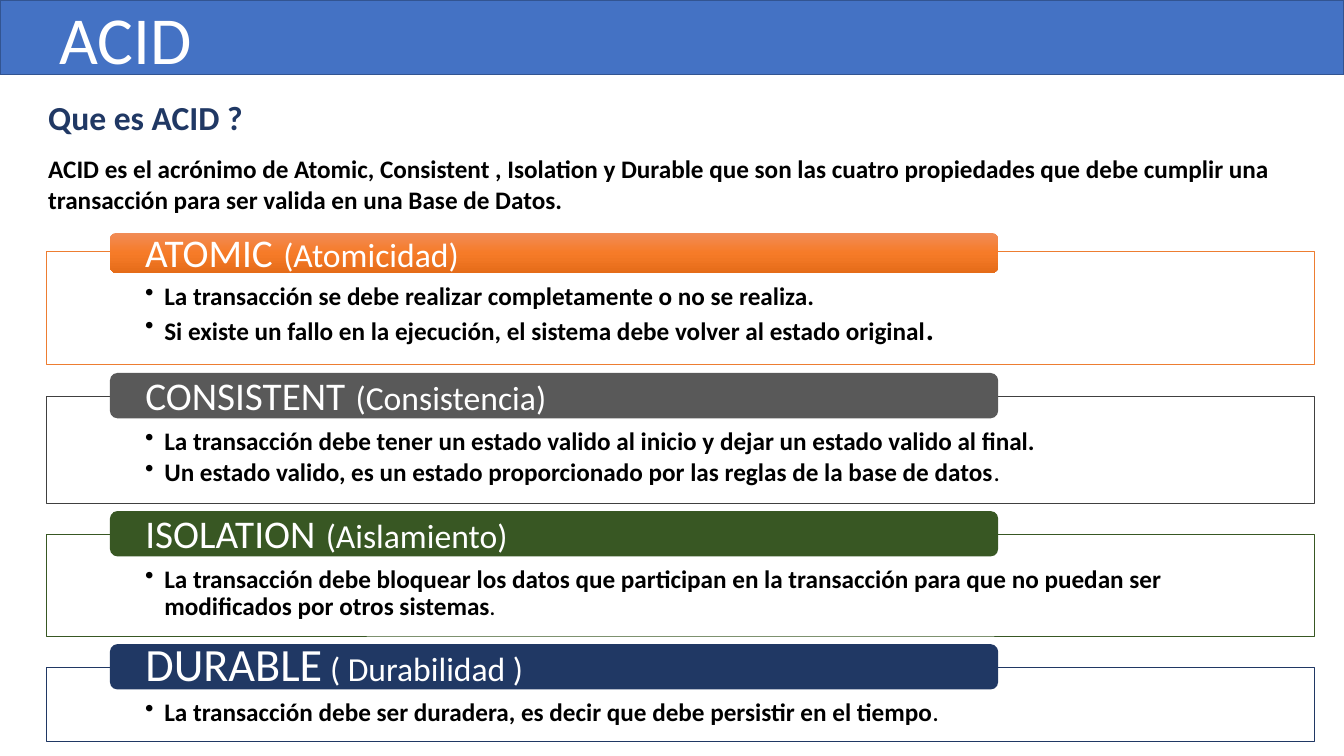
from lxml.etree import SubElement
from pptx import Presentation
from pptx.dml.color import RGBColor
from pptx.enum.shapes import MSO_SHAPE
from pptx.enum.text import MSO_ANCHOR, PP_ALIGN
from pptx.oxml.ns import qn
from pptx.util import Inches, Pt

# Content: runs are (text, size name, bold)
TITLE = "ACID"
QUESTION = "Que es ACID ?"
DEFINITION = (
    "ACID es el acrónimo de Atomic, Consistent , Isolation y Durable que son las cuatro "
    "propiedades que debe cumplir una transacción para ser valida en una Base de Datos."
)
PROPERTIES = [
    {
        "color": "atomic", "bar_height": 0.4, "panel_height": 1.13,
        "heading": [("ATOMIC", "name", False), (" ", "large", False),
                    ("(Atomicidad)", "translation", False)],
        "bullets": [
            [("La transacción se debe realizar completamente o no se realiza.", "body", True)],
            [("Si existe un fallo en la ejecución, el sistema debe volver al estado original",
              "body", True), (".", "big_stop", True)],
        ],
    },
    {
        "color": "consistent", "bar_height": 0.45, "panel_height": 1.06,
        "heading": [("CONSISTENT", "name", False), (" ", "large", False),
                    ("(Consistencia)", "translation", False)],
        "bullets": [
            [("La transacción debe tener un estado valido al inicio y dejar un estado valido "
              "al final.", "body", True)],
            [("Un estado valido, es un estado proporcionado por las reglas de la base de datos",
              "body", True), (".", "body", False)],
        ],
    },
    {
        "color": "isolation", "bar_height": 0.45, "panel_height": 1.01,
        "heading": [("ISOLATION", "name", False), (" ", "large", False),
                    ("(Aislamiento)", "translation", False)],
        "bullets": [
            [("La transacción debe bloquear los datos que participan en la transacción para "
              "que no puedan ser modificados por otros sistemas", "body", True),
             (".", "small_stop", True)],
        ],
    },
    {
        "color": "durable", "bar_height": 0.45, "panel_height": 0.74,
        "heading": [("DURABLE", "large", False), (" ( Durabilidad )", "translation", False)],
        "bullets": [
            [("La transacción debe ser duradera, es decir que debe persistir en el tiempo",
              "body", True), (".", "medium_stop", True)],
        ],
    },
]

THEME = {
    "font": "Calibri",
    "colors": {
        "white": "FFFFFF", "black": "000000", "banner": "4472C4", "banner_line": "325491",
        "atomic": "ED7D31", "consistent": "595959", "consistent_line": "404040",
        "isolation": "385723", "durable": "203864",
    },
    "atomic_gradient": ["F18C57", "F67B28", "E56C19"],
    "sizes": {
        "title": 48, "large": 33, "name": 28, "translation": 24, "question": 24,
        "body": 18, "big_stop": 22, "medium_stop": 15, "small_stop": 14,
    },
}

# Layout in inches
SLIDE_WIDTH, SLIDE_HEIGHT = 13.33, 7.5
PANEL_LEFT, PANEL_WIDTH = 0.46, 12.58
BAR_LEFT, BAR_WIDTH = 1.09, 8.81
FIRST_BAR_TOP, BAR_OVERLAP, PANEL_GAP = 2.31, 0.22, 0.08
BULLET_INDENT = 0.19


def color(name):
    return RGBColor.from_string(THEME["colors"][name])


def add_box(slide, kind, box, fill, line=None, line_width=0.5):
    shape = slide.shapes.add_shape(kind, *map(Inches, box))
    shape.shadow.inherit = False
    shape.fill.solid()
    shape.fill.fore_color.rgb = color(fill)
    if line:
        shape.line.color.rgb = color(line)
        shape.line.width = Pt(line_width)
    else:
        shape.line.fill.background()
    return shape


def set_frame(shape, anchor, margins):
    frame = shape.text_frame
    frame.word_wrap = True
    frame.vertical_anchor = anchor
    (frame.margin_left, frame.margin_top,
     frame.margin_right, frame.margin_bottom) = map(Inches, margins)
    return frame


def write_runs(paragraph, runs, color_name):
    paragraph.alignment = PP_ALIGN.LEFT
    for text, size, bold in runs:
        run = paragraph.add_run()
        run.text = text
        run.font.name = THEME["font"]
        run.font.size = Pt(THEME["sizes"][size])
        run.font.bold = bold
        run.font.color.rgb = color(color_name)


def add_bullet(paragraph):
    properties = paragraph._p.get_or_add_pPr()
    properties.set("marL", str(Inches(BULLET_INDENT)))
    properties.set("indent", str(-Inches(BULLET_INDENT)))
    SubElement(properties, qn("a:buChar")).set("char", "•")


def apply_gradient(shape, stops):
    """Vertical three-stop gradient."""
    shape.fill.gradient()
    shape.fill.gradient_angle = 270
    stop_list = shape.fill._fill._gradFill.find(qn("a:gsLst"))
    for stop in list(stop_list):
        stop_list.remove(stop)
    for index, value in enumerate(stops):
        stop = SubElement(stop_list, qn("a:gs"), pos=str(index * 50000))
        SubElement(stop, qn("a:srgbClr"), val=value)


def add_property(slide, item, bar_top):
    """Draw one property and return the bottom of its panel."""
    panel_top = bar_top + item["bar_height"] - BAR_OVERLAP
    line = "consistent_line" if item["color"] == "consistent" else item["color"]

    # Panel with bullets
    panel = add_box(slide, MSO_SHAPE.RECTANGLE,
                    (PANEL_LEFT, panel_top, PANEL_WIDTH, item["panel_height"]), "white", line)
    frame = set_frame(panel, MSO_ANCHOR.TOP, (0.98, 0.32, 0.98, 0.14))
    for index, runs in enumerate(item["bullets"]):
        paragraph = frame.add_paragraph() if index else frame.paragraphs[0]
        add_bullet(paragraph)
        paragraph.line_spacing = 0.9
        paragraph.space_after = Pt(2.7)
        write_runs(paragraph, runs, "black")

    # Heading bar
    bar = add_box(slide, MSO_SHAPE.ROUNDED_RECTANGLE,
                  (BAR_LEFT, bar_top, BAR_WIDTH, item["bar_height"]), item["color"])
    if item["color"] == "atomic":
        apply_gradient(bar, THEME["atomic_gradient"])
    frame = set_frame(bar, MSO_ANCHOR.MIDDLE, (0.33, 0, 0.33, 0))
    frame.paragraphs[0].line_spacing = 0.9
    write_runs(frame.paragraphs[0], item["heading"], "white")
    return panel_top + item["panel_height"]


def main():
    presentation = Presentation()
    presentation.slide_width = Inches(SLIDE_WIDTH)
    presentation.slide_height = Inches(SLIDE_HEIGHT)
    slide = presentation.slides.add_slide(presentation.slide_layouts[6])

    # Four properties, stacked
    bar_top = FIRST_BAR_TOP
    for item in PROPERTIES:
        bar_top = add_property(slide, item, bar_top) + PANEL_GAP

    # Title banner
    banner = add_box(slide, MSO_SHAPE.RECTANGLE, (0, 0, SLIDE_WIDTH, 0.74),
                     "banner", "banner_line", 1)
    frame = set_frame(banner, MSO_ANCHOR.MIDDLE, (0.59, 0.05, 0.1, 0.05))
    write_runs(frame.paragraphs[0], [(TITLE, "title", False)], "white")

    # Introduction
    intro = slide.shapes.add_textbox(*map(Inches, (0.38, 0.91, PANEL_WIDTH, 1.28)))
    frame = set_frame(intro, MSO_ANCHOR.TOP, (0.1, 0.05, 0.1, 0.05))
    write_runs(frame.paragraphs[0], [(QUESTION, "question", True)], "durable")
    definition = frame.add_paragraph()
    definition.space_before = Pt(12)
    write_runs(definition, [(DEFINITION, "body", True)], "black")

    presentation.save("out.pptx")


if __name__ == "__main__":
    main()
